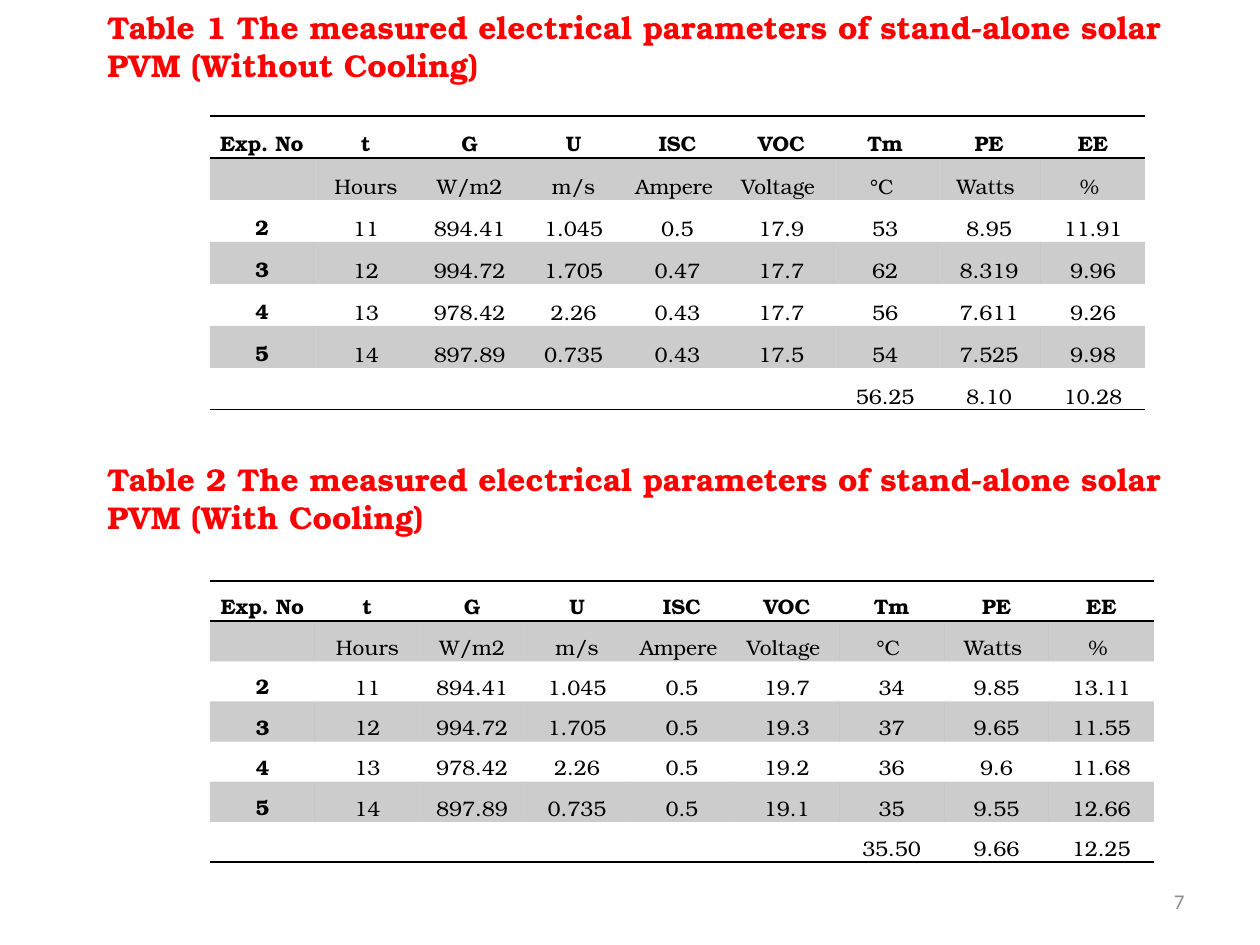
from dataclasses import dataclass

from lxml.etree import SubElement
from pptx import Presentation
from pptx.dml.color import RGBColor as Rgb
from pptx.enum.text import MSO_ANCHOR as Anchor, MSO_AUTO_SIZE as AutoSize, PP_ALIGN as Align
from pptx.oxml.ns import qn
from pptx.util import Emu, Pt

EMU_PER_PX = 914400 / 126
PLAIN_TABLE_STYLE = "{2D5ABB26-0587-4C30-8999-92F81FD0307C}"


@dataclass(frozen=True)
class Theme:
    serif: str = "TeX Gyre Bonum"
    sans: str = "Calibri"
    caption: str = "FF0000"
    ink: str = "000000"
    muted: str = "8C8C8C"
    caption_size: int = 18
    body_size: int = 12
    rule_width: int = 1
    band_opacity: int = 20


@dataclass(frozen=True)
class Area:
    left: int
    top: int
    width: int
    height: int

    def emu(self) -> tuple[Emu, ...]:
        return tuple(px(n) for n in (self.left, self.top, self.width, self.height))


@dataclass(frozen=True)
class Style:
    font: str
    size: int
    color: str
    bold: bool = False


@dataclass(frozen=True)
class Label:
    text: str
    area: Area
    style: Style
    align: Align = Align.LEFT
    anchor: Anchor = Anchor.TOP
    grow: bool = False


@dataclass(frozen=True)
class Results:
    area: Area
    readings: list[list[str]]
    averages: list[str]


THEME = Theme()
CAPTION = Style(THEME.serif, THEME.caption_size, THEME.caption, bold=True)
HEADING = Style(THEME.serif, THEME.body_size, THEME.ink, bold=True)
BODY = Style(THEME.serif, THEME.body_size, THEME.ink)
PAGE_NUMBER = Style(THEME.sans, THEME.body_size, THEME.muted)

TITLE = "The measured electrical parameters of stand-alone solar PVM"
LABELS = [
    Label(f"Table 1 {TITLE} (Without Cooling)", Area(95, 2, 1081, 89), CAPTION, grow=True),
    Label(f"Table 2 {TITLE} (With Cooling)", Area(95, 454, 1113, 127), CAPTION, grow=True),
    Label("7", Area(903, 876, 294, 50), PAGE_NUMBER, Align.RIGHT, Anchor.MIDDLE),
]

NAMES = ["Exp. No", "t", "G", "U", "ISC", "VOC", "Tm", "PE", "EE"]
UNITS = ["", "Hours", "W/m2", "m/s", "Ampere ", "Voltage ", "°C ", "Watts ", "% "]
# Experiment number, hour, irradiance and wind speed are shared by both tables
CONDITIONS = [
    ["2", "11", "894.41", "1.045"],
    ["3", "12", "994.72", "1.705"],
    ["4", "13", "978.42", "2.26"],
    ["5", "14", "897.89", "0.735"],
]
RESULTS = [
    Results(
        Area(210, 116, 935, 294),
        [
            ["0.5", "17.9", "53", "8.95", "11.91"],
            ["0.47", "17.7", "62", "8.319", "9.96"],
            ["0.43", "17.7", "56", "7.611", "9.26"],
            ["0.43", "17.5", "54", "7.525", "9.98"],
        ],
        ["56.25", "8.10", "10.28"],
    ),
    Results(
        Area(210, 581, 944, 281),
        [
            ["0.5", "19.7", "34", "9.85", "13.11"],
            ["0.5", "19.3", "37", "9.65", "11.55"],
            ["0.5", "19.2", "36", "9.6", "11.68"],
            ["0.5", "19.1", "35", "9.55", "12.66"],
        ],
        ["35.50", "9.66", "12.25"],
    ),
]


def px(length: int) -> Emu:
    return Emu(round(length * EMU_PER_PX))


def write(para, text: str, style: Style, align: Align) -> None:
    para.alignment = align
    span = para.add_run()
    span.text = text
    span.font.name = style.font
    span.font.size = Pt(style.size)
    span.font.bold = style.bold
    span.font.color.rgb = Rgb.from_string(style.color)


def draw_label(page, label: Label) -> None:
    box = page.shapes.add_textbox(*label.area.emu())
    frame = box.text_frame
    frame.word_wrap = True
    frame.vertical_anchor = label.anchor
    frame.auto_size = AutoSize.SHAPE_TO_FIT_TEXT if label.grow else AutoSize.NONE
    write(frame.paragraphs[0], label.text, label.style, label.align)


def add_rule(cell, edge: str) -> None:
    properties = cell._tc.get_or_add_tcPr()
    line = SubElement(properties, qn(f"a:{edge}"), w=str(Pt(THEME.rule_width)))
    SubElement(SubElement(line, qn("a:solidFill")), qn("a:srgbClr"), val=THEME.ink)


def shade(cell) -> None:
    cell.fill.solid()
    cell.fill.fore_color.rgb = Rgb.from_string(THEME.ink)
    color = cell._tc.tcPr.find(qn("a:solidFill")).find(qn("a:srgbClr"))
    SubElement(color, qn("a:alpha"), val=str(THEME.band_opacity * 1000))


def draw_results(page, results: Results) -> None:
    readings = [start + rest for start, rest in zip(CONDITIONS, results.readings)]
    padding = [""] * (len(NAMES) - len(results.averages))
    rows = [NAMES, UNITS, *readings, padding + results.averages]
    last = len(rows) - 1

    table = page.shapes.add_table(len(rows), len(NAMES), *results.area.emu()).table
    table.first_row = table.horz_banding = False
    table._tbl.tblPr.find(qn("a:tableStyleId")).text = PLAIN_TABLE_STYLE

    for r, row in enumerate(rows):
        for c, text in enumerate(row):
            cell = table.cell(r, c)
            cell.margin_left = cell.margin_right = cell.margin_top = px(1)
            cell.margin_bottom = 0
            cell.vertical_anchor = Anchor.BOTTOM
            if text:
                style = HEADING if r == 0 or c == 0 else BODY
                write(cell.text_frame.paragraphs[0], text, style, Align.CENTER)
            # Rules around the heading row and under the averages
            if r == 0:
                add_rule(cell, "lnT")
            if r in (0, last):
                add_rule(cell, "lnB")
            # Every second row is banded
            if r % 2:
                shade(cell)
            else:
                cell.fill.background()


def main() -> None:
    deck = Presentation()
    deck.slide_width, deck.slide_height = px(1260), px(945)
    page = deck.slides.add_slide(deck.slide_layouts[6])
    for label in LABELS:
        draw_label(page, label)
    for results in RESULTS:
        draw_results(page, results)
    deck.save("out.pptx")


if __name__ == "__main__":
    main()
